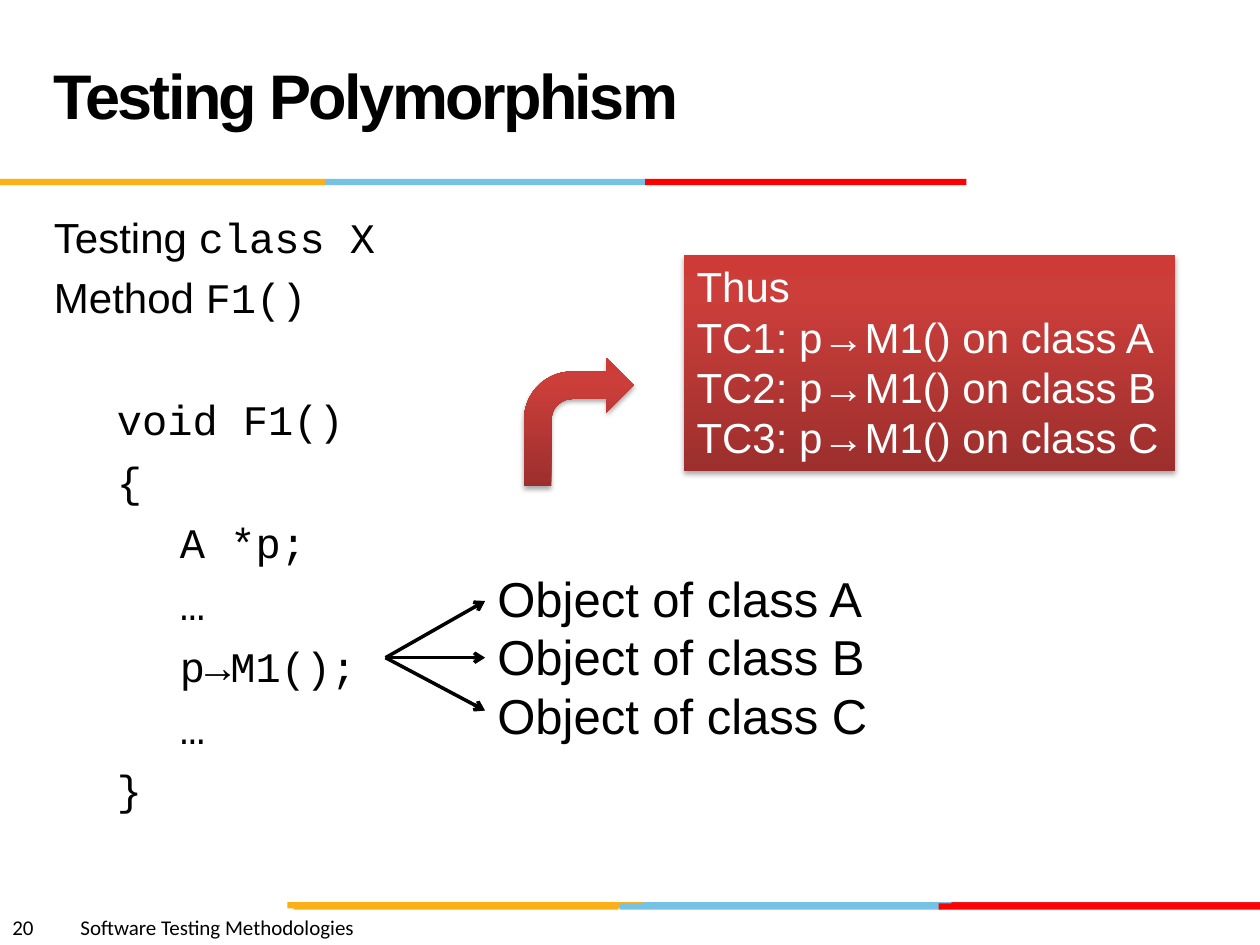
from pptx import Presentation
from pptx.util import Inches, Pt
from pptx.dml.color import RGBColor
from pptx.enum.shapes import MSO_SHAPE, MSO_CONNECTOR
from pptx.enum.text import MSO_ANCHOR, MSO_AUTO_SIZE
from pptx.oxml import parse_xml
from pptx.oxml.ns import nsdecls, qn
from lxml import etree
from copy import deepcopy

BLACK, WHITE = RGBColor(0, 0, 0), RGBColor(255, 255, 255)
GOLD, SKY = RGBColor(0xFC, 0xB0, 0x17), RGBColor(0x76, 0xC2, 0xE5)
RED, CRIMSON = RGBColor(255, 0, 0), RGBColor(0xE3, 0x1C, 0x24)
FADE = [(0, RGBColor(0x9C, 0x2F, 0x2D)), (0.8, RGBColor(0xCB, 0x3E, 0x3A)),
        (1, RGBColor(0xCE, 0x3B, 0x37))]
SANS, MONO, FOOT = "Arial", "Courier New", "Calibri"

# Content: each line is a list of (text, font) runs
TITLE = [[("Testing Polymorphism", SANS)]]
INTRO = [[("Testing ", SANS), ("class X", MONO)],
         [("Method ", SANS), ("F1()", MONO)]]
CODE = ["void F1()", "{", "\tA *p;", "\t…", "\tp→M1();", "\t…", "}"]
KINDS = "ABC"
TARGETS = [[(f"Object of class {k}", SANS)] for k in KINDS]
CASES = [[("Thus", SANS)]] + [
    [(f"TC{n}: p→M1() on class {k}", SANS)] for n, k in enumerate(KINDS, 1)]
FOOTER = [[("20\tSoftware Testing Methodologies", FOOT)]]

# Stripes: top, then (left, right, colour) of each band
BANDS = [
    (7.16, [(5.06, 7.61, SKY), (7.55, 10, CRIMSON), (2.28, 5.1, GOLD)]),
    (7.17, [(4.92, 7.47, SKY), (2.33, 4.91, GOLD), (7.45, 10, RED)]),
    (1.42, [(2.58, 5.13, SKY), (0, 2.58, GOLD), (5.12, 7.67, RED)]),
]
START, TIP, ENDS = (3.06, 5.22), 3.85, (4.77, 5.22, 5.64)

deck = Presentation()
deck.slide_width, deck.slide_height = Inches(10), Inches(7.5)
slide = deck.slides.add_slide(deck.slide_layouts[6])
shapes = slide.shapes


def write(frame, lines, size, color=BLACK, wrap=True, bold=False):
    frame.word_wrap = wrap
    for i, line in enumerate(lines):
        para = frame.paragraphs[0] if i == 0 else frame.add_paragraph()
        para.font.size = Pt(size)
        for text, face in line:
            run = para.add_run()
            run.text = text
            font = run.font
            font.size, font.name, font.bold = Pt(size), face, bold
            font.color.rgb = color
    return frame


def label(box, lines, size, **opts):
    return write(shapes.add_textbox(*map(Inches, box)).text_frame,
                 lines, size, **opts)


def block(kind, box):
    shape = shapes.add_shape(kind, *map(Inches, box))
    shape.shadow.inherit = False
    shape.line.fill.background()
    return shape


def glow(shape):
    """Red gradient and a soft shadow below."""
    shape.fill.gradient()
    shape.fill.gradient_angle = 90
    stops = shape._element.spPr.find(".//" + qn("a:gsLst"))
    stops.append(deepcopy(stops[-1]))
    for stop, (pos, color) in zip(shape.fill.gradient_stops, FADE):
        stop.position, stop.color.rgb = pos, color
    shape._element.spPr.find(qn("a:effectLst")).append(parse_xml(
        f'<a:outerShdw {nsdecls("a")} blurRad="{Pt(3.1)}" dist="{Pt(1.8)}" '
        'dir="5400000" rotWithShape="0"><a:srgbClr val="000000">'
        '<a:alpha val="35000"/></a:srgbClr></a:outerShdw>'))


# Stripes and footer
for top, bands in BANDS:
    for left, right, color in bands:
        bar = block(MSO_SHAPE.RECTANGLE, (left, top, right - left, 0.05))
        bar.fill.solid()
        bar.fill.fore_color.rgb = color
foot = label((0, 7.21, 5, 0.3), FOOTER, 12)
tabs = etree.SubElement(foot.paragraphs[0]._p.get_or_add_pPr(), qn("a:tabLst"))
etree.SubElement(tabs, qn("a:tab"), pos=str(Inches(0.54)), algn="l")

# Code listing
body = label((0.33, 1.63, 9, 4.95),
             INTRO + [[]] + [[(line, MONO)] for line in CODE], 24)
for i, para in enumerate(body.paragraphs):
    code = i > len(INTRO)
    para.space_before = Pt(6.5 if code else 5.5)
    props = para._p.get_or_add_pPr()
    props.set("marL", str(Inches(0.5 if code else 0.38)))
    props.set("indent", str(Inches(0 if code else -0.38)))

# Title
head = label((0.33, 0.17, 6.92, 1.25), TITLE, 36, bold=True)
head.vertical_anchor = MSO_ANCHOR.MIDDLE
head.paragraphs[0].line_spacing = Pt(36)
head.paragraphs[0].runs[0].font._element.set("spc", "-150")

# Possible targets of the call
label((TIP, 4.46, 3.17, 1.51), TARGETS, 28, wrap=False)
for end in ENDS:
    arrow = shapes.add_connector(MSO_CONNECTOR.STRAIGHT,
                                 *map(Inches, (*START, TIP, end)))
    arrow.line.width = Pt(2)
    arrow.line.color.rgb = BLACK
    etree.SubElement(arrow.line._get_or_add_ln(), qn("a:tailEnd"), type="arrow")
    etree.SubElement(arrow._element.spPr, qn("a:effectLst"))

# Test cases and bent arrow
card = block(MSO_SHAPE.RECTANGLE, (5.43, 2.02, 3.9, 1.72))
glow(card)
note = write(card.text_frame, CASES, 24, WHITE, wrap=False)
note.vertical_anchor = MSO_ANCHOR.TOP
note.auto_size = MSO_AUTO_SIZE.SHAPE_TO_FIT_TEXT
for para in note.paragraphs:
    para.alignment = 1
glow(block(MSO_SHAPE.BENT_ARROW, (4.16, 2.84, 0.87, 1.02)))

deck.save("out.pptx")
